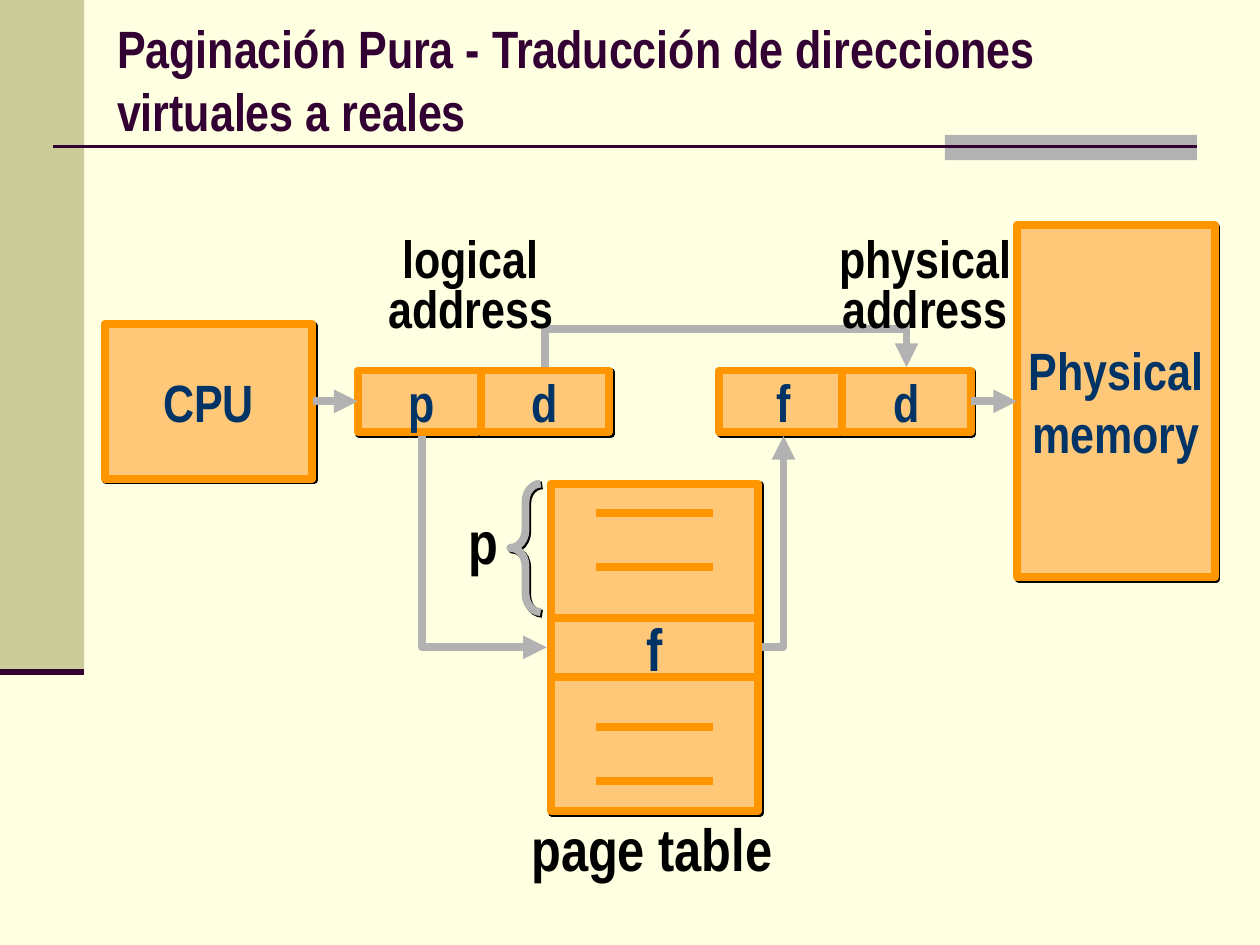
import pptx
import pptx.dml.color
import pptx.enum.dml
import pptx.enum.shapes
import pptx.enum.text
import pptx.oxml
import pptx.oxml.ns
import pptx.util
from dataclasses import dataclass

Cm = pptx.util.Cm
Pt = pptx.util.Pt
SHAPES = pptx.enum.shapes.MSO_SHAPE
CONNECTORS = pptx.enum.shapes.MSO_CONNECTOR
ALIGN = pptx.enum.text.PP_ALIGN


@dataclass(frozen=True)
class Theme:
    font: str = "Arial Narrow"
    paper: str = "FFFFE1"
    sidebar: str = "CCCC99"
    gray: str = "B2B2B2"
    plum: str = "330033"
    peach: str = "FFC878"
    orange: str = "FF9600"
    navy: str = "003366"
    black: str = "000000"
    body: int = 30
    large: int = 34
    stroke: float = 4.5


THEME = Theme()
TITLE = "Paginación Pura - Traducción de direcciones virtuales a reales"
CELL_TOP, CELL_WIDTH, CELL_HEIGHT, CELL_PITCH = 7.47, 2.59, 1.24, 2.48
TABLE = (11.1, 9.75, 4.19, 6.6)
UNITS = [
    ("CPU", (2.11, 6.53, 4.19, 3.12), THEME.body),
    ("Physical\vmemory", (20.5, 4.54, 3.99, 7.1), THEME.body),
    ("f", TABLE, THEME.large),
]
ADDRESSES = [(7.21, ("p", "d")), (14.5, ("f", "d"))]
ENTRY_ROWS = (10.34, 11.43, 14.66, 15.75)
DIVIDER_ROWS = (12.45, 13.64)
ENTRY_MARGIN = 0.91
EDGE_GAP = 0.08
RISE = 0.76
LABELS = [
    ("p", (9.19, 10.06, 1.09, 1.7), THEME.large, 1),
    ("page table", (10.46, 16.23, 5.36, 1.7), THEME.large, 1),
    ("physical\vaddress", (16.66, 4.67, 3.99, 2.29), THEME.body, 0.8),
    ("logical\vaddress", (7.57, 4.67, 3.84, 2.29), THEME.body, 0.8),
]

deck = pptx.Presentation()
deck.slide_width, deck.slide_height = Cm(25.4), Cm(19.05)
slide = deck.slides.add_slide(deck.slide_layouts[6])


def rgb(color):
    return pptx.dml.color.RGBColor.from_string(color)


def element(markup):
    head, rest = markup.split(" ", 1)
    return pptx.oxml.parse_xml(f"{head} {pptx.oxml.ns.nsdecls('a')} {rest}")


def add_shadow(shape):
    shape.shadow.inherit = False
    effects = shape._element.spPr.find(pptx.oxml.ns.qn("a:effectLst"))
    effects.append(element(
        f'<a:outerShdw dist="{int(Pt(1.4))}" dir="2700000" algn="ctr" rotWithShape="0">'
        f'<a:srgbClr val="{THEME.black}"/></a:outerShdw>'))


def write(shape, words, color, size, align=ALIGN.CENTER, wrap=False, spacing=1):
    frame = shape.text_frame
    frame.text = words
    frame.word_wrap = wrap
    frame.vertical_anchor = pptx.enum.text.MSO_ANCHOR.MIDDLE
    for paragraph in frame.paragraphs:
        paragraph.alignment = align
        paragraph.line_spacing = spacing
        for run in paragraph.runs:
            run.font.name, run.font.size, run.font.bold = THEME.font, Pt(size), True
            run.font.color.rgb = rgb(color)


def add_block(bounds, color):
    block = slide.shapes.add_shape(SHAPES.RECTANGLE, *map(Cm, bounds))
    block.fill.solid()
    block.fill.fore_color.rgb = rgb(color)
    block.line.fill.background()
    block.shadow.inherit = False
    return block


def add_unit(words, bounds, size):
    unit = add_block(bounds, THEME.peach)
    unit.line.color.rgb = rgb(THEME.orange)
    unit.line.width = Pt(THEME.stroke)
    add_shadow(unit)
    write(unit, words, THEME.navy, size)
    return unit


def add_line(start, end, color, width=THEME.stroke, kind=CONNECTORS.STRAIGHT, arrow=False):
    line = slide.shapes.add_connector(kind, *map(Cm, start + end))
    line.line.color.rgb = rgb(color)
    line.line.width = Pt(width)
    line._element.spPr.append(element('<a:effectLst />'))
    if arrow:
        line.line._get_or_add_ln().append(element('<a:tailEnd type="triangle"/>'))
    return line


def add_elbow(start, end, preset, upright=False, bend=None):
    if upright:
        middle_x, middle_y = (start[0] + end[0]) / 2, (start[1] + end[1]) / 2
        half_x, half_y = (end[0] - start[0]) / 2, (end[1] - start[1]) / 2
        start = (middle_x + half_y, middle_y - half_x)
        end = (middle_x - half_y, middle_y + half_x)
    elbow = add_line(start, end, THEME.gray, kind=CONNECTORS.ELBOW, arrow=True)
    geometry = elbow._element.spPr.find(pptx.oxml.ns.qn("a:prstGeom"))
    geometry.set("prst", preset)
    if upright:
        elbow._element.spPr.xfrm.set("rot", "16200000")
    if bend is not None:
        guides = geometry.find(pptx.oxml.ns.qn("a:avLst"))
        guides.append(element(f'<a:gd name="adj1" fmla="val {round(bend * 100000)}"/>'))


def join(source, target):
    link = add_line((0, 0), (1, 1), THEME.gray, arrow=True)
    link.begin_connect(source, 3)
    link.end_connect(target, 1)


background = slide.background.fill
background.solid()
background.fore_color.rgb = rgb(THEME.paper)
add_block((0, 0, 1.7, 13.54), THEME.sidebar)
add_block((19.05, 2.72, 5.08, 0.51), THEME.gray)
add_line((1.07, 2.95), (24.13, 2.95), THEME.plum, 1.5)
add_line((0, 13.54), (1.7, 13.54), THEME.plum, 3.5)
heading = slide.shapes.add_textbox(*map(Cm, (2.11, 0.71, 21.59, 1.78)))
write(heading, TITLE, THEME.plum, THEME.body, ALIGN.LEFT, True)

cpu, memory, page_table = [add_unit(*unit) for unit in UNITS]
fields = []
for left, letters in ADDRESSES:
    for column, letter in enumerate(letters):
        bounds = (left + column * CELL_PITCH, CELL_TOP, CELL_WIDTH, CELL_HEIGHT)
        fields.append(add_unit(letter, bounds, THEME.body))

table_left, table_top, table_width, table_height = TABLE
table_right = table_left + table_width
for rows, margin in ((ENTRY_ROWS, ENTRY_MARGIN), (DIVIDER_ROWS, 0)):
    for row in rows:
        add_line((table_left + margin, row), (table_right - margin, row), THEME.orange)

join(cpu, fields[0])
join(fields[-1], memory)
page_x, offset_x, frame_x, target_x = [
    left + column * CELL_PITCH + CELL_WIDTH / 2
    for left, letters in ADDRESSES for column in range(len(letters))]
above, below = CELL_TOP - EDGE_GAP, CELL_TOP + CELL_HEIGHT + EDGE_GAP
table_middle = table_top + table_height / 2
drop = 0.01
add_elbow((offset_x, above), (target_x, above + drop), "bentConnector3", True, -RISE / drop)
add_elbow((page_x, below), (table_left - EDGE_GAP, table_middle), "bentConnector2", True)
add_elbow((table_right + EDGE_GAP, table_middle), (frame_x, below), "bentConnector2")

brace = slide.shapes.add_shape(SHAPES.LEFT_BRACE, *map(Cm, (10.29, 9.75, 0.61, 2.59)))
brace.adjustments[0] = 0.6
brace.fill.background()
brace.line.color.rgb = rgb(THEME.gray)
brace.line.width = Pt(THEME.stroke)
add_shadow(brace)

for words, bounds, size, spacing in LABELS:
    label = slide.shapes.add_textbox(*map(Cm, bounds))
    write(label, words, THEME.black, size, spacing=spacing)

deck.save("out.pptx")
